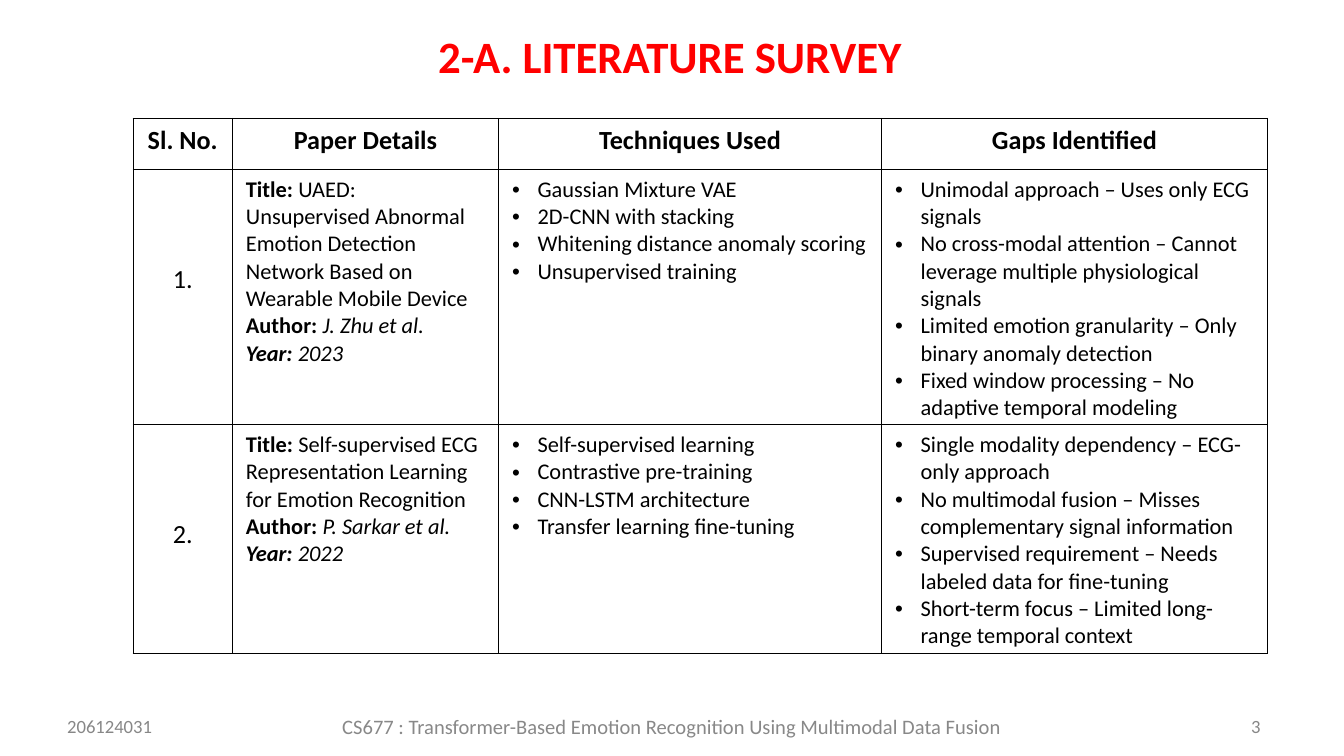
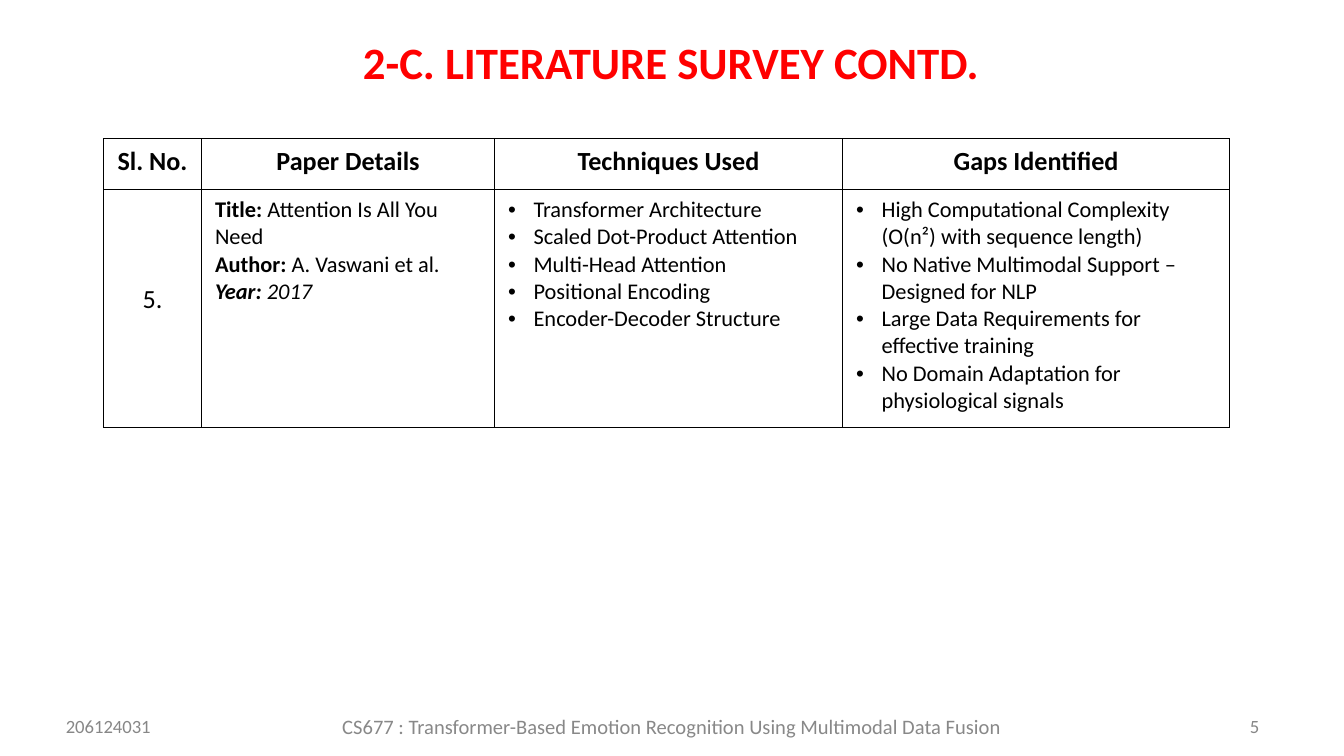
from lxml.etree import SubElement
from pptx import Presentation
from pptx.dml.color import RGBColor
from pptx.enum.text import MSO_ANCHOR, MSO_AUTO_SIZE, PP_ALIGN
from pptx.oxml.ns import qn
from pptx.util import Inches, Pt

RED = RGBColor(0xFF, 0, 0)
BLACK = RGBColor(0, 0, 0)
WHITE = RGBColor(0xFF, 0xFF, 0xFF)
GRAY = RGBColor(0x88, 0x88, 0x88)
SLATE = RGBColor(0x87, 0x87, 0x87)
HEADS = ["Sl. No.", "Paper Details", "Techniques Used", "Gaps Identified"]
COURSE = "CS677 : Transformer-Based Emotion Recognition Using Multimodal Data Fusion"
ROLL = "206124031"


class Deck:
    font = "Calibri"

    def __init__(self):
        self.prs = Presentation()
        self.prs.slide_width = Inches(10)
        self.prs.slide_height = Inches(10) * 9 // 16
        self.slide = None

    def start(self, title, left, top, width, number):
        self.slide = self.prs.slides.add_slide(self.prs.slide_layouts[5])
        shape = self.slide.shapes.title
        shape.left, shape.top = Inches(left), Inches(top)
        shape.width, shape.height = Inches(width), Inches(0.42)
        para = self.frame(shape, 0.1, 0.01)
        para.alignment = PP_ALIGN.LEFT
        self.run(para, title, 24, RED, bold=True)

    def footer(self, number, left):
        self.label(COURSE, 2.5, 5, 11, GRAY, PP_ALIGN.CENTER)
        self.label(ROLL, left, 0.76, 10, SLATE)
        self.label(str(number), left + 8.81, 0.21, 10, SLATE)

    def frame(self, shape, left=0, top=0):
        frame = shape.text_frame
        frame.word_wrap = True
        frame.auto_size = MSO_AUTO_SIZE.NONE
        frame.vertical_anchor = MSO_ANCHOR.TOP
        frame.margin_left, frame.margin_top = Inches(left), Inches(top)
        frame.margin_right = frame.margin_bottom = 0
        return frame.paragraphs[0]

    def run(self, para, text, size, color=BLACK, bold=False, italic=False):
        run = para.add_run()
        run.text = text
        font = run.font
        font.name, font.size = self.font, Pt(size)
        font.bold, font.italic = bold, italic
        font.color.rgb = color

    def label(self, text, left, width, size, color, align=PP_ALIGN.LEFT):
        box = self.slide.shapes.add_textbox(
            Inches(left), Inches(5.31), Inches(width), Inches(0.18))
        centred = align == PP_ALIGN.CENTER
        para = self.frame(box, 0 if centred else 0.01)
        para.alignment = align
        if not centred:
            para.line_spacing = 1.04
        self.run(para, text, size, color)

    def table(self, left, top, widths, heights, papers):
        table = self.slide.shapes.add_table(
            len(heights), len(widths), Inches(left), Inches(top),
            Inches(sum(widths)), Inches(sum(heights))).table
        table.first_row = table.horz_banding = False
        for col, width in zip(table.columns, widths):
            col.width = Inches(width)
        for row, height in zip(table.rows, heights):
            row.height = Inches(height)
        for cell in table.iter_cells():
            self.style(cell)
        for col, head in enumerate(HEADS):
            self.centre(table.cell(0, col), head, True)
        for row, (number, paper, skills, gaps) in enumerate(papers, 1):
            first = table.cell(row, 0)
            first.margin_top = Inches(0.7)
            self.centre(first, number)
            self.paper(table.cell(row, 1), *paper)
            self.bullets(table.cell(row, 2), skills)
            self.bullets(table.cell(row, 3), gaps)

    def style(self, cell):
        cell.margin_left = cell.margin_right = Inches(0.1)
        cell.margin_top, cell.margin_bottom = Inches(0.05), Inches(0.01)
        props = cell._tc.get_or_add_tcPr()
        for side in "LRTB":
            line = SubElement(props, qn(f"a:ln{side}"), w=str(Pt(0.45)))
            fill = SubElement(line, qn("a:solidFill"))
            SubElement(fill, qn("a:srgbClr"), val=str(BLACK))
        cell.fill.solid()
        cell.fill.fore_color.rgb = WHITE

    def centre(self, cell, text, bold=False):
        para = cell.text_frame.paragraphs[0]
        para.alignment = PP_ALIGN.CENTER
        self.run(para, text, 14, bold=bold)

    def paper(self, cell, title, author, year, slant=True, split=True):
        para = cell.text_frame.paragraphs[0]
        self.run(para, "Title: ", 12, bold=True)
        self.run(para, title, 12)
        para.add_line_break()
        self.run(para, "Author: ", 12, bold=True)
        self.run(para, author, 12, italic=slant)
        if split:
            para = cell.text_frame.add_paragraph()
        self.run(para, "Year: ", 12, bold=True, italic=True)
        self.run(para, year, 12, italic=True)

    def bullets(self, cell, items):
        frame = cell.text_frame
        for i, item in enumerate(items):
            para = frame.add_paragraph() if i else frame.paragraphs[0]
            props = para._p.get_or_add_pPr()
            props.set("marL", str(Inches(0.19)))
            props.set("indent", str(-Inches(0.19)))
            tint = SubElement(props, qn("a:buClr"))
            SubElement(tint, qn("a:srgbClr"), val=str(BLACK))
            SubElement(props, qn("a:buFont"), typeface="Arial")
            SubElement(props, qn("a:buChar"), char="•")
            self.run(para, item, 12)


def main():
    deck = Deck()
    deck.start("2-A. LITERATURE SURVEY", 3.16, 0.2, 3.68, 3)
    deck.table(0.99, 0.88, [0.74, 1.98, 2.85, 2.87], [0.38, 1.9, 1.7], [
        ("1.",
         ("UAED: Unsupervised Abnormal Emotion Detection Network "
          "Based on Wearable Mobile Device", "J. Zhu et al.", "2023"),
         ["Gaussian Mixture VAE", "2D-CNN with stacking",
          "Whitening distance anomaly scoring", "Unsupervised training"],
         ["Unimodal approach – Uses only ECG signals",
          "No cross-modal attention – Cannot leverage multiple "
          "physiological signals",
          "Limited emotion granularity – Only binary anomaly detection",
          "Fixed window processing – No adaptive temporal modeling"]),
        ("2.",
         ("Self-supervised ECG Representation Learning for Emotion "
          "Recognition", "P. Sarkar et al. ", "2022", True, False),
         ["Self-supervised learning", "Contrastive pre-training",
          "CNN-LSTM architecture", "Transfer learning fine-tuning"],
         ["Single modality dependency – ECG-only approach",
          "No multimodal fusion – Misses complementary signal information",
          "Supervised requirement – Needs labeled data for fine-tuning",
          "Short-term focus – Limited long-range temporal context"]),
    ])
    deck.footer(3, 0.49)

    deck.start("2-C. LITERATURE SURVEY CONTD.", 2.6, 0.25, 4.79, 5)
    deck.table(0.77, 1.03, [0.73, 2.18, 2.59, 2.88], [0.38, 1.77], [
        ("5.",
         ("Attention Is All You Need", "A. Vaswani et al.", "2017", False),
         ["Transformer Architecture", "Scaled Dot-Product Attention",
          "Multi-Head Attention", "Positional Encoding",
          "Encoder-Decoder Structure"],
         ["High Computational Complexity (O(n²) with sequence length)",
          "No Native Multimodal Support – Designed for NLP",
          "Large Data Requirements for effective training",
          "No Domain Adaptation for physiological signals"]),
    ])
    deck.footer(5, 0.48)
    deck.prs.save("out.pptx")


if __name__ == "__main__":
    main()
